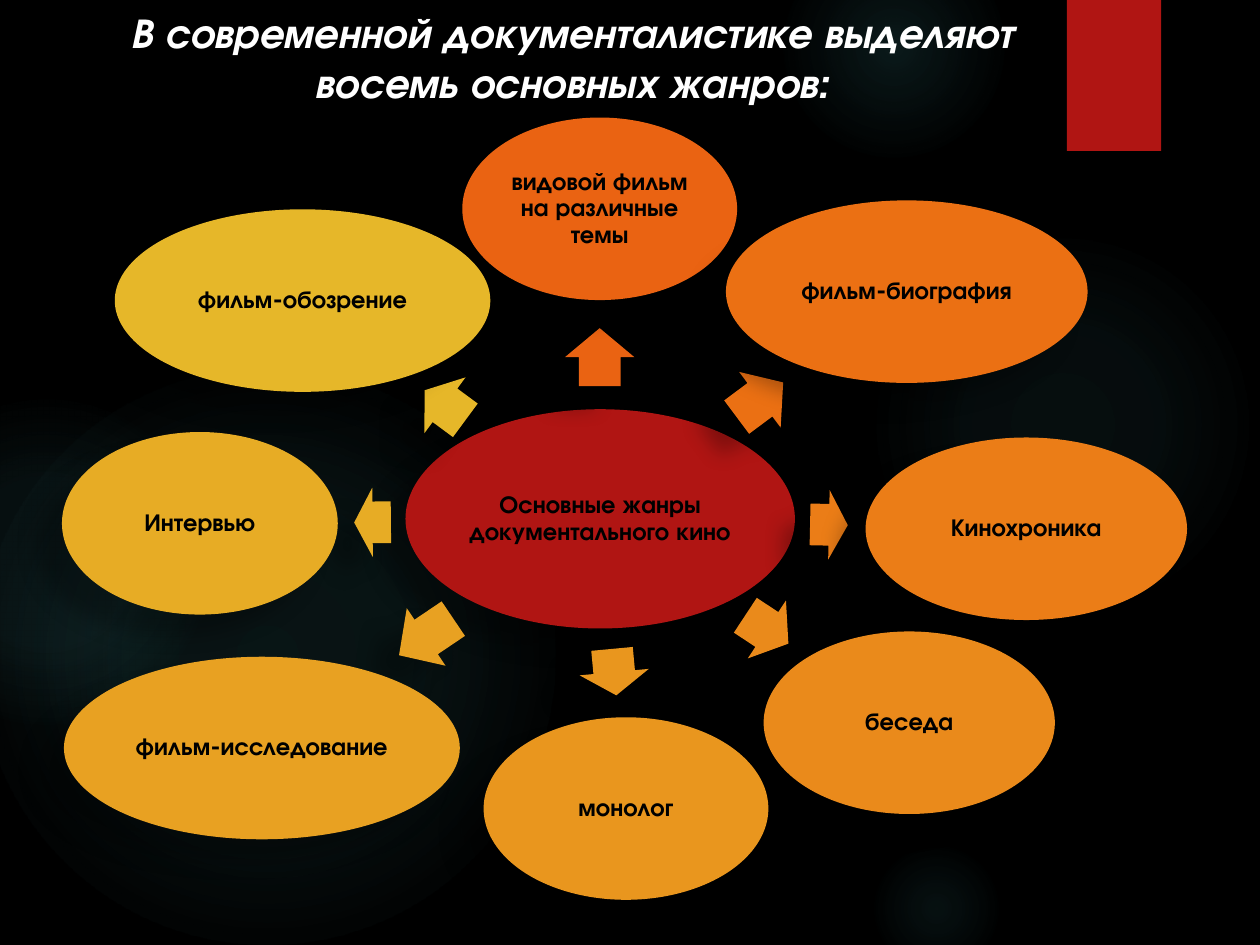
from lxml import etree
from pptx import Presentation
from pptx.dml.color import RGBColor
from pptx.enum.shapes import MSO_SHAPE as Shape
from pptx.enum.text import MSO_ANCHOR as Anchor, PP_ALIGN as Align
from pptx.oxml import parse_xml
from pptx.oxml.ns import nsdecls, qn
from pptx.util import Cm, Pt

FONT = "TeX Gyre Adventor"
BLACK = RGBColor(0x00, 0x00, 0x00)
WHITE = RGBColor(0xFF, 0xFF, 0xFF)
RED = RGBColor(0xB0, 0x15, 0x13)
GLOW = RGBColor(0x50, 0xB9, 0xC1)

TITLE = "В современной документалистике выделяют восемь основных жанров:"
HUB = "Основные жанры документального кино"
HUB_BOX = (12.10, 10.46, 7.85, 4.42)  # centre x, centre y, width, height

# Genre, colour, ellipse (centre x, centre y, width),
# arrow (centre x, centre y, length, rotation); clockwise from the top, in cm
GENRES = [
    ("видовой фильм на различные темы", RGBColor(0xEA, 0x63, 0x12),
     (12.09, 4.21, 5.54), (12.09, 7.20, 1.17, 270)),
    ("фильм-биография", RGBColor(0xEB, 0x70, 0x13),
     (18.28, 5.88, 7.29), (15.32, 8.06, 1.17, 323.3)),
    ("Кинохроника", RGBColor(0xEB, 0x7D, 0x17),
     (20.69, 10.66, 6.48), (16.71, 10.58, 0.76, 1.2)),
    ("беседа", RGBColor(0xEA, 0x8A, 0x1B),
     (18.33, 14.57, 5.87), (15.46, 12.69, 1.04, 33.4)),
    ("монолог", RGBColor(0xE9, 0x96, 0x1E),
     (12.62, 16.30, 5.74), (12.38, 13.55, 0.94, 84.7)),
    ("фильм-исследование", RGBColor(0xE8, 0xA1, 0x22),
     (5.28, 15.08, 7.98), (8.59, 12.84, 1.32, 146)),
    ("Интервью", RGBColor(0xE7, 0xAC, 0x25),
     (4.03, 10.55, 5.56), (7.51, 10.53, 0.74, 179.5)),
    ("фильм-обозрение", RGBColor(0xE6, 0xB7, 0x29),
     (6.10, 6.06, 7.57), (8.97, 8.17, 1.02, 216.4)),
]
GENRE_HEIGHT = 3.68
ARROW_HEIGHT = 1.40

# Background glows: centre x, centre y, diameter, (stop %, opacity %)
GLOWS = [
    (21.41, 8.56, 7.82, [(0, 7), (36, 6), (69, 0)]),
    (18.02, 0.95, 4.45, [(0, 14), (36, 7), (73, 0)]),
    (18.87, 18.31, 2.74, [(0, 9), (36, 5), (66, 0)]),
    (5.38, 13.23, 11.63, [(0, 11), (36, 10), (75, 0)]),
    (0.94, 11.33, 6.55, [(0, 8), (36, 8), (72, 0)]),
]

# Shadows: opacity %, blur pt, distance pt, direction
GENRE_SHADOW = (28, 11.8, 19.7, 141)
TAB_SHADOW = (45, 3, 2, 90)


def add_centred(slide, kind, x, y, width, height, colour, shadow=None):
    part = slide.shapes.add_shape(kind, Cm(x - width / 2), Cm(y - height / 2),
                                  Cm(width), Cm(height))
    part.shadow.inherit = False
    part.fill.solid()
    part.fill.fore_color.rgb = colour
    part.line.fill.background()
    if shadow:
        opacity, blur, distance, direction = shadow
        effects = part.element.spPr.find(qn("a:effectLst"))
        outer = etree.SubElement(
            effects, qn("a:outerShdw"), blurRad=str(Pt(blur)), dist=str(Pt(distance)),
            dir=str(direction * 60000), algn="ctr", rotWithShape="0")
        tint = etree.SubElement(outer, qn("a:srgbClr"), val=str(BLACK))
        etree.SubElement(tint, qn("a:alpha"), val=str(opacity * 1000))
    return part


def fill_with_glow(part, stops):
    stop_xml = "".join(
        f'<a:gs pos="{pos * 1000}"><a:srgbClr val="{GLOW}">'
        f'<a:alpha val="{opacity * 1000}"/></a:srgbClr></a:gs>'
        for pos, opacity in stops)
    gradient = parse_xml(
        f'<a:gradFill {nsdecls("a")} rotWithShape="1"><a:gsLst>{stop_xml}</a:gsLst>'
        '<a:path path="circle"><a:fillToRect l="50000" t="50000" r="50000" b="50000"/>'
        '</a:path></a:gradFill>')
    properties = part.element.spPr
    properties.replace(properties.find(qn("a:solidFill")), gradient)


def write(frame, text, size, colour, italic=False):
    frame.word_wrap = True
    paragraph = frame.paragraphs[0]
    paragraph.alignment = Align.CENTER
    run = paragraph.add_run()
    run.text = text
    run.font.name = FONT
    run.font.size = Pt(size)
    run.font.bold = True
    run.font.italic = italic
    run.font.color.rgb = colour
    return paragraph


def add_bubble(slide, text, box, colour):
    bubble = add_centred(slide, Shape.OVAL, *box, colour, GENRE_SHADOW)
    frame = bubble.text_frame
    frame.margin_left = frame.margin_right = Cm(0.05)
    frame.margin_top = frame.margin_bottom = Cm(0.05)
    frame.vertical_anchor = Anchor.MIDDLE
    write(frame, text, 14, BLACK).line_spacing = 0.9


def main():
    deck = Presentation()
    deck.slide_width, deck.slide_height = Cm(25.4), Cm(19.05)
    slide = deck.slides.add_slide(deck.slide_layouts[6])

    # Background
    slide.background.fill.solid()
    slide.background.fill.fore_color.rgb = BLACK
    for x, y, diameter, stops in GLOWS:
        glow = add_centred(slide, Shape.OVAL, x, y, diameter, diameter, GLOW)
        fill_with_glow(glow, stops)
    add_centred(slide, Shape.RECTANGLE, 22.46, 1.52, 1.90, 3.05, RED, TAB_SHADOW)

    # Radial diagram
    add_bubble(slide, HUB, HUB_BOX, RED)
    for genre, colour, ellipse, (x, y, length, rotation) in GENRES:
        arrow = add_centred(slide, Shape.RIGHT_ARROW, x, y, length, ARROW_HEIGHT,
                            colour, GENRE_SHADOW)
        arrow.adjustments[0] = 0.6
        arrow.adjustments[1] = 0.5
        arrow.rotation = rotation
        add_bubble(slide, genre, (*ellipse, GENRE_HEIGHT), colour)

    # Title
    title = slide.shapes.add_textbox(Cm(1.17), Cm(0), Cm(20.73), Cm(3.33))
    write(title.text_frame, TITLE, 24, WHITE, italic=True)

    deck.save("out.pptx")


if __name__ == "__main__":
    main()
